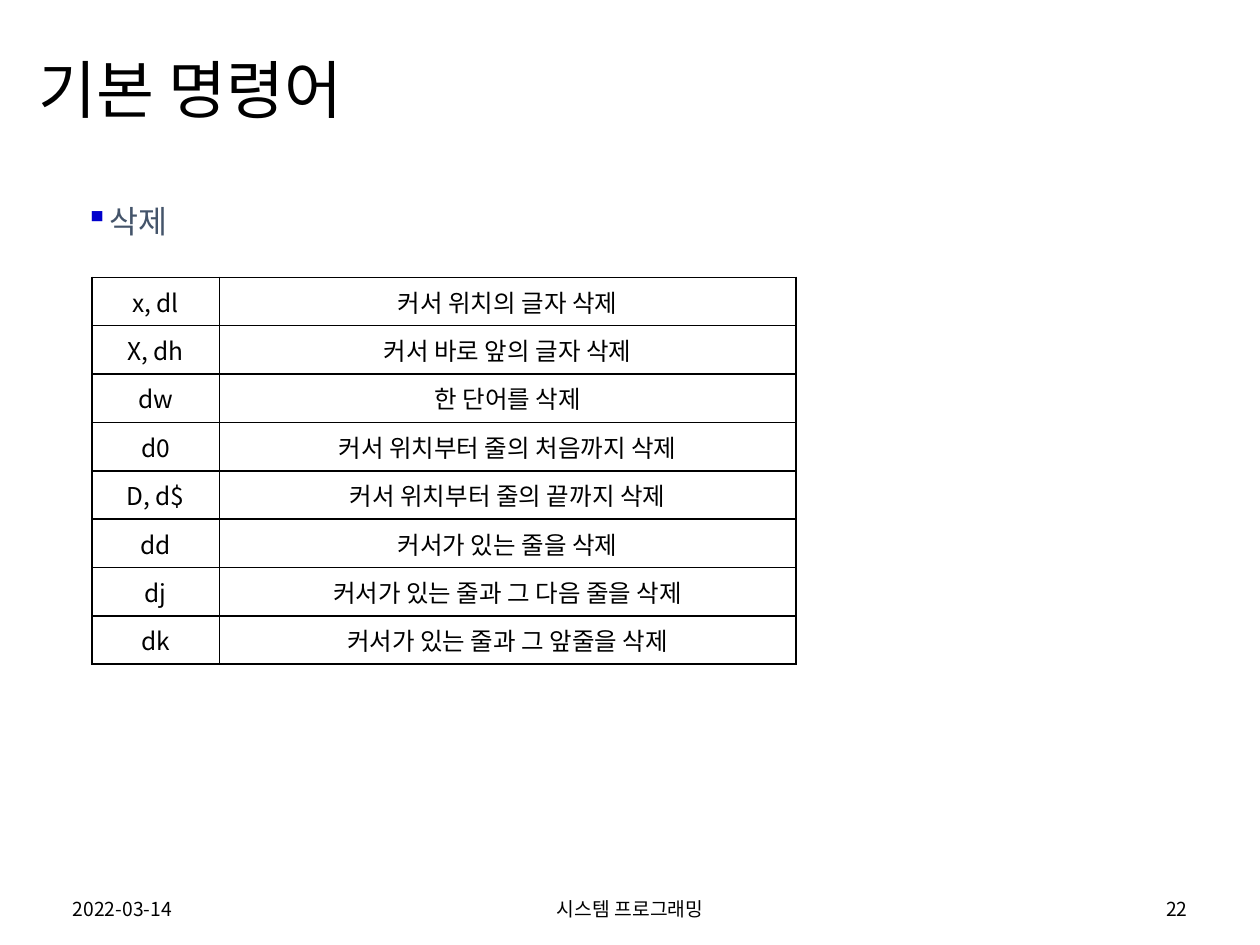
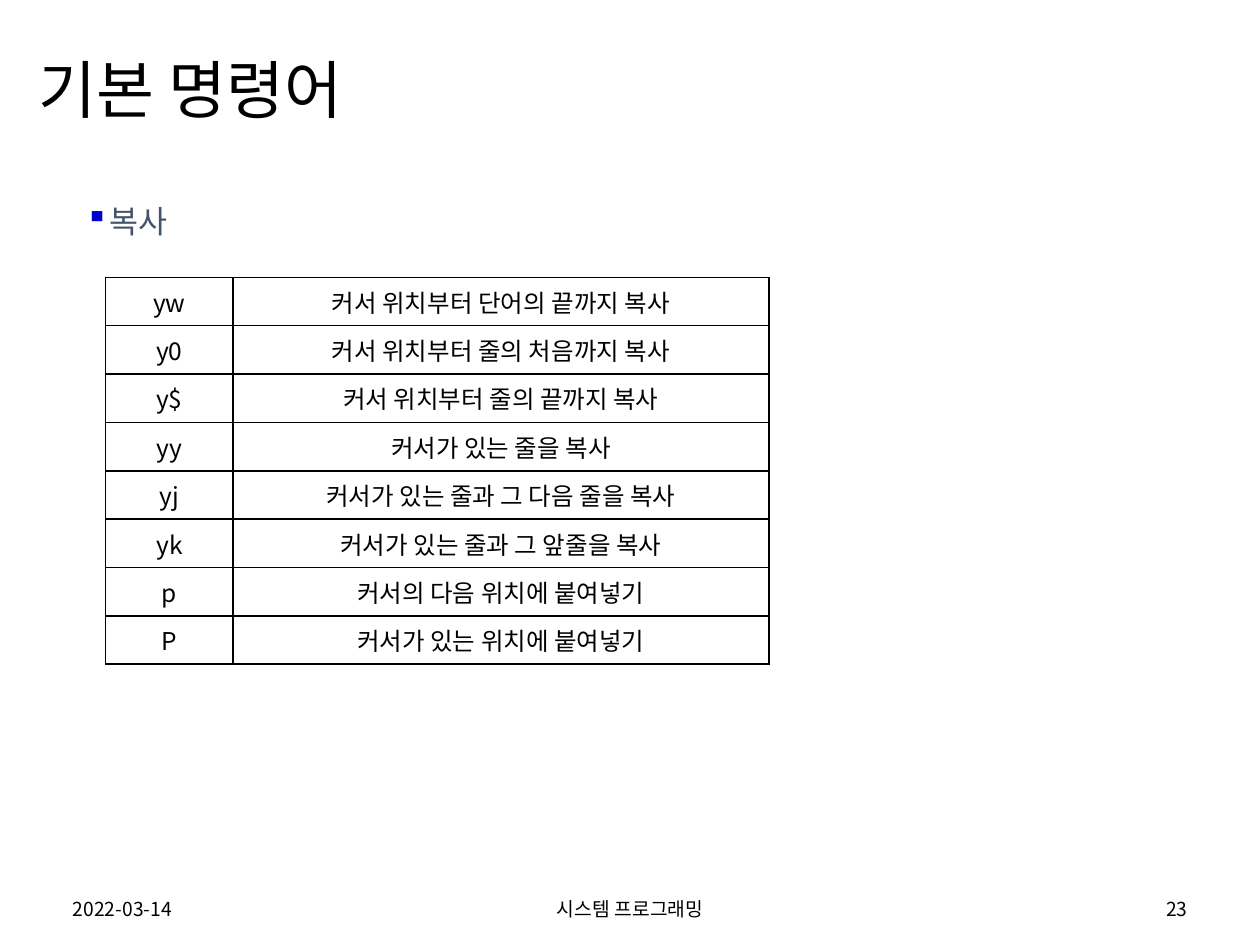
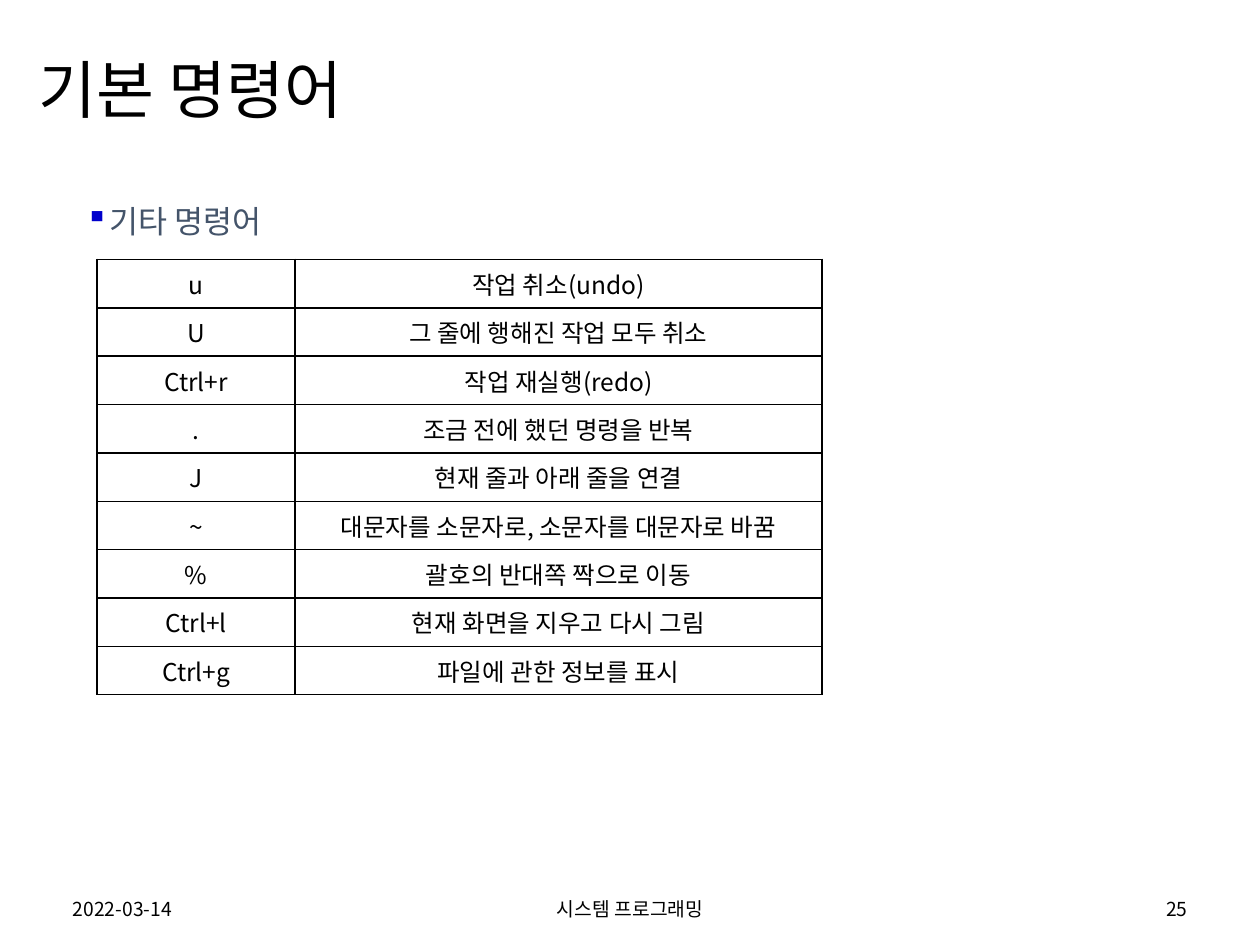
from dataclasses import dataclass

from lxml import etree
from pptx import Presentation
from pptx import util as u
from pptx.dml.color import RGBColor
from pptx.enum import text
from pptx.oxml import ns

# Shared look
FONT = "Noto Sans CJK KR"
BLACK = RGBColor(0x00, 0x00, 0x00)
SLATE = RGBColor(0x44, 0x54, 0x6A)
BULLET_BLUE = RGBColor(0x00, 0x00, 0xCC)

TITLE = "기본 명령어"
DATE = "2022-03-14"
COURSE = "시스템 프로그래밍"
ROW_HEIGHT = u.Cm(0.85)
CELL_INDENT = u.Cm(0.97)
BULLET_INDENT = u.Cm(0.48)


@dataclass(frozen=True)
class Area:
    left: float
    top: float
    width: float
    height: float

    def lengths(self) -> tuple:
        return tuple(u.Cm(n) for n in (self.left, self.top, self.width, self.height))


@dataclass(frozen=True)
class CommandPage:
    number: int
    topic: str
    topic_width: float
    table_left: float
    table_top: float
    column_widths: tuple[float, float]
    commands: tuple[tuple[str, str], ...]


TITLE_AREA = Area(0.53, 0.46, 24.33, 2.82)
DATE_AREA = Area(1.22, 17.96, 5.72, 0.71)
COURSE_AREA = Area(8.41, 17.96, 8.59, 0.71)
NUMBER_AREA = Area(18.47, 17.96, 5.72, 0.71)

# Commands on each page
PAGES = (
    CommandPage(22, "삭제", 2.62, 1.85, 5.59, (2.57, 11.63), (
        ("x, dl", "커서 위치의 글자 삭제"),
        ("X, dh", "커서 바로 앞의 글자 삭제"),
        ("dw", "한 단어를 삭제"),
        ("d0", "커서 위치부터 줄의 처음까지 삭제"),
        ("D, d$", "커서 위치부터 줄의 끝까지 삭제"),
        ("dd", "커서가 있는 줄을 삭제"),
        ("dj", "커서가 있는 줄과 그 다음 줄을 삭제"),
        ("dk", "커서가 있는 줄과 그 앞줄을 삭제"),
    )),
    CommandPage(23, "복사", 2.62, 2.13, 5.59, (2.57, 10.8), (
        ("yw", "커서 위치부터 단어의 끝까지 복사"),
        ("y0", "커서 위치부터 줄의 처음까지 복사"),
        ("y$", "커서 위치부터 줄의 끝까지 복사"),
        ("yy", "커서가 있는 줄을 복사"),
        ("yj", "커서가 있는 줄과 그 다음 줄을 복사"),
        ("yk", "커서가 있는 줄과 그 앞줄을 복사"),
        ("p", "커서의 다음 위치에 붙여넣기"),
        ("P", "커서가 있는 위치에 붙여넣기"),
    )),
    CommandPage(25, "기타 명령어", 5.03, 1.96, 5.23, (3.99, 10.62), (
        ("u", "작업 취소(undo)"),
        ("U", "그 줄에 행해진 작업 모두 취소"),
        ("Ctrl+r", "작업 재실행(redo)"),
        (".", "조금 전에 했던 명령을 반복"),
        ("J", "현재 줄과 아래 줄을 연결"),
        ("~", "대문자를 소문자로, 소문자를 대문자로 바꿈"),
        ("%", "괄호의 반대쪽 짝으로 이동"),
        ("Ctrl+l", "현재 화면을 지우고 다시 그림"),
        ("Ctrl+g", "파일에 관한 정보를 표시"),
    )),
)


def add_element(parent, tag: str, **attributes: str):
    return etree.SubElement(parent, ns.qn(tag), attributes)


def write(frame, words: str, size: int, color: RGBColor = BLACK,
          align=text.PP_ALIGN.LEFT, anchor=text.MSO_ANCHOR.MIDDLE):
    """Fill a text frame with one styled paragraph and return it."""
    frame.text = words
    frame.vertical_anchor = anchor
    para = frame.paragraphs[0]
    para.alignment = align
    for span in para.runs:
        span.font.size = u.Pt(size)
        span.font.name = FONT
        span.font.color.rgb = color
        add_element(span.font._element, "a:ea", typeface=FONT)
    return para


def hang(para, indent: int):
    """Give a paragraph a hanging indent and return its properties."""
    properties = para._p.get_or_add_pPr()
    properties.set("marL", str(indent))
    properties.set("indent", str(-indent))
    return properties


def add_title(page) -> None:
    title = page.shapes.title
    title.left, title.top, title.width, title.height = TITLE_AREA.lengths()
    title.text_frame.auto_size = text.MSO_AUTO_SIZE.NONE
    write(title.text_frame, TITLE, 36).line_spacing = 0.9


def add_text(page, area: Area, words: str, size: int, **style):
    box = page.shapes.add_textbox(*area.lengths())
    box.text_frame.word_wrap = True
    return write(box.text_frame, words, size, **style)


def add_topic(page, words: str, width: float) -> None:
    para = add_text(page, Area(1.47, 3.94, width, 1.02), words, 18,
                    color=SLATE, anchor=text.MSO_ANCHOR.TOP)
    properties = hang(para, BULLET_INDENT)
    bullet_color = add_element(properties, "a:buClr")
    add_element(bullet_color, "a:srgbClr", val=str(BULLET_BLUE))
    add_element(properties, "a:buChar", char="▪")


def add_borders(cell) -> None:
    properties = cell._tc.get_or_add_tcPr()
    for side in "LRTB":
        line = add_element(properties, f"a:ln{side}", w=str(u.Pt(1)))
        fill = add_element(line, "a:solidFill")
        add_element(fill, "a:srgbClr", val=str(BLACK))


def add_command_table(page, content: CommandPage) -> None:
    widths = [u.Cm(width) for width in content.column_widths]
    count = len(content.commands)
    table = page.shapes.add_table(
        count, len(widths), u.Cm(content.table_left), u.Cm(content.table_top),
        sum(widths), ROW_HEIGHT * count).table
    table.first_row = table.horz_banding = False
    for column, width in zip(table.columns, widths):
        column.width = width
    for row, command in zip(table.rows, content.commands):
        row.height = ROW_HEIGHT
        for cell, words in zip(row.cells, command):
            para = write(cell.text_frame, words, 14, align=text.PP_ALIGN.CENTER)
            hang(para, CELL_INDENT)
            cell.vertical_anchor = text.MSO_ANCHOR.MIDDLE
            add_borders(cell)
            cell.fill.background()


def add_footer(page, number: int) -> None:
    add_text(page, DATE_AREA, DATE, 11)
    add_text(page, COURSE_AREA, COURSE, 11, align=text.PP_ALIGN.CENTER)
    add_text(page, NUMBER_AREA, str(number), 11, align=text.PP_ALIGN.RIGHT)


def main() -> None:
    deck = Presentation()
    deck.slide_width, deck.slide_height = u.Cm(25.4), u.Cm(19.05)
    title_only = deck.slide_layouts[5]
    for content in PAGES:
        page = deck.slides.add_slide(title_only)
        add_title(page)
        add_command_table(page, content)
        add_footer(page, content.number)
        add_topic(page, content.topic, content.topic_width)
    deck.save("out.pptx")


if __name__ == "__main__":
    main()
